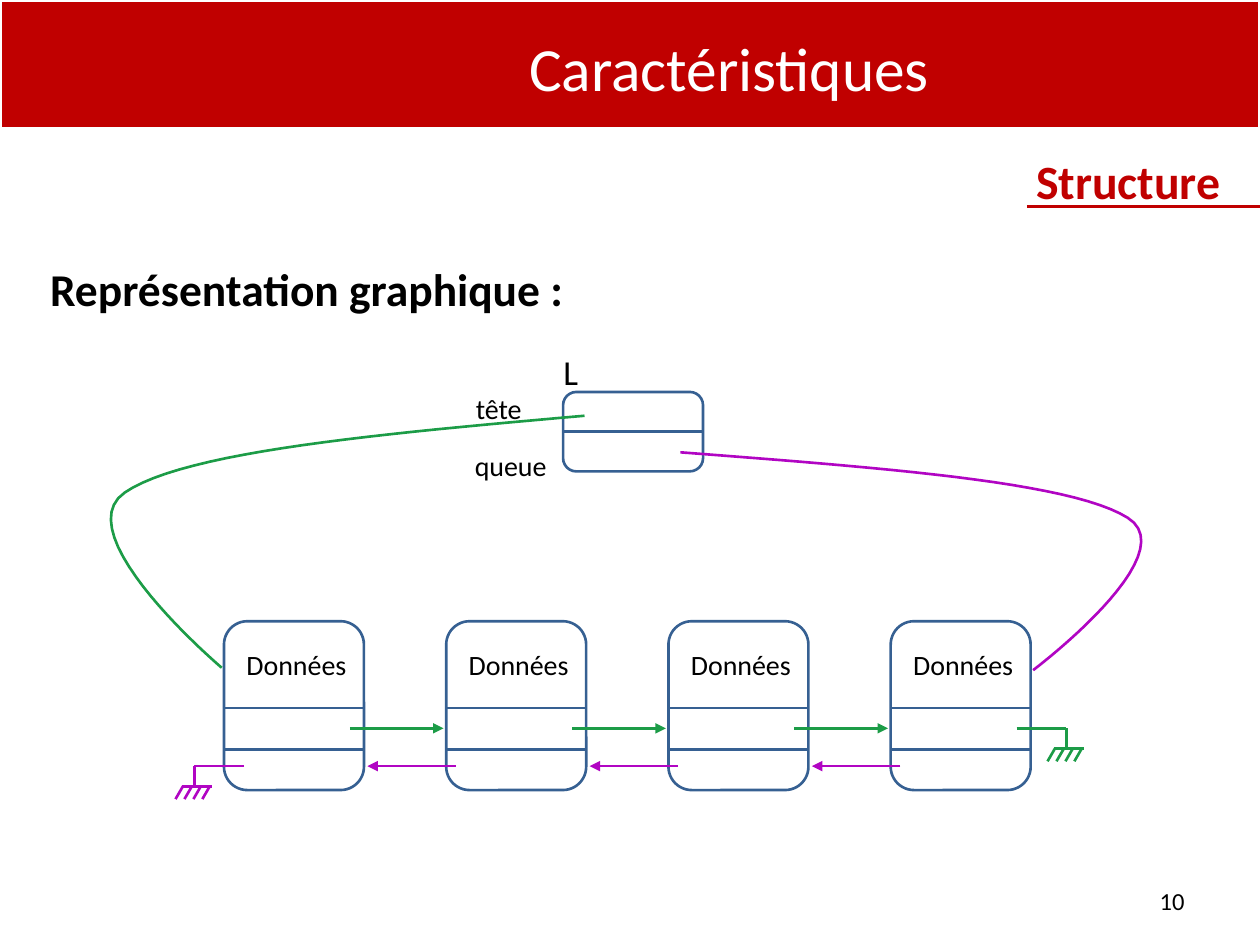
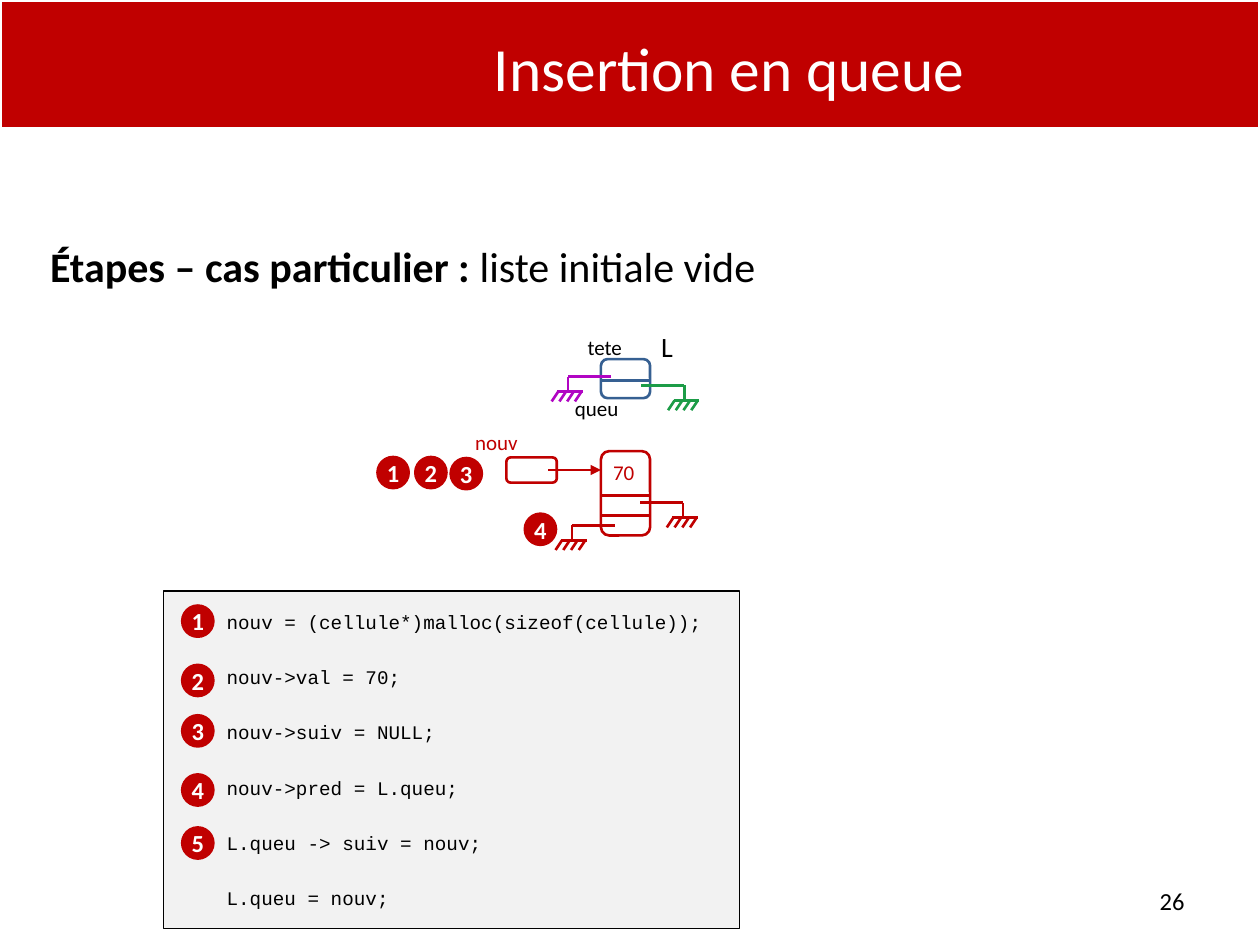
from dataclasses import dataclass
from lxml import etree
from pptx import Presentation
from pptx.dml.color import RGBColor
from pptx.enum.shapes import MSO_CONNECTOR, MSO_SHAPE
from pptx.enum.text import MSO_ANCHOR, MSO_AUTO_SIZE, PP_ALIGN
from pptx.oxml.ns import qn
from pptx.util import Pt

RECT, ROUND, OVAL = MSO_SHAPE.RECTANGLE, MSO_SHAPE.ROUNDED_RECTANGLE, MSO_SHAPE.OVAL
STRAIGHT = MSO_CONNECTOR.STRAIGHT
FIXED = MSO_AUTO_SIZE.NONE
LEFT, MID, RIGHT, JUST = PP_ALIGN.LEFT, PP_ALIGN.CENTER, PP_ALIGN.RIGHT, PP_ALIGN.JUSTIFY
TOP, CENTER = MSO_ANCHOR.TOP, MSO_ANCHOR.MIDDLE


@dataclass(frozen=True)
class Theme:
    sans: str = "Calibri"
    mono: str = "Courier New"
    red: str = "C00000"
    blue: str = "366092"
    green: str = "1C9C47"
    mauve: str = "B105C3"
    white: str = "FFFFFF"
    black: str = "000000"
    grey: str = "F2F2F2"
    title: float = 35.1
    topic: float = 27.3
    lead: float = 26
    step: float = 24
    mark: float = 20
    label: float = 16
    page: float = 14
    small: float = 12
    code: float = 11
    stroke: float = 1.5


T = Theme()


def tint(code):
    return RGBColor.from_string(code)


def fonts(size, color=T.black, bold=False, name=T.sans):
    return {"name": name, "size": Pt(size), "bold": bold, "color": color}


def apply(item, values):
    for key, value in values.items():
        if key == "color":
            item.color.rgb = tint(value)
        else:
            setattr(item, key, value)


def frame(shape, anchor=TOP, side=7.2, edge=3.6):
    text = shape.text_frame
    apply(text, {"word_wrap": True, "auto_size": FIXED,
                 "vertical_anchor": anchor, "margin_left": Pt(side),
                 "margin_right": Pt(side), "margin_top": Pt(edge),
                 "margin_bottom": Pt(edge)})
    return text


def write(para, runs, align):
    apply(para, {"alignment": align, "space_before": Pt(0)})
    for words, style in runs:
        run = para.add_run()
        run.text = words
        apply(run.font, style)


def move(shape, box):
    for key, value in zip(("left", "top", "width", "height"), box):
        setattr(shape, key, Pt(value))


def label(slide, box, words, style, align=MID, anchor=TOP, side=0):
    shape = slide.shapes.add_textbox(*map(Pt, box))
    write(frame(shape, anchor, side).paragraphs[0], [(words, style)], align)


def solid(slide, kind, box, fill, edge, width):
    shape = slide.shapes.add_shape(kind, *map(Pt, box))
    shape.shadow.inherit = False
    if fill:
        shape.fill.solid()
        shape.fill.fore_color.rgb = tint(fill)
    else:
        shape.fill.background()
    apply(shape.line, {"color": edge, "width": Pt(width)})
    return shape


def stroke(slide, start, end, color, arrow=False):
    line = slide.shapes.add_connector(STRAIGHT, *map(Pt, (*start, *end)))
    apply(line.line, {"color": color, "width": Pt(T.stroke)})
    props = line.element.spPr
    if arrow:
        tail = etree.SubElement(props.find(qn("a:ln")), qn("a:tailEnd"))
        tail.set("type", "triangle")
    etree.SubElement(props, qn("a:effectLst"))


def bend(start, one, two, end, steps=24):
    for step in range(1, steps + 1):
        t = step / steps
        u = 1 - t
        yield tuple(u**3 * a + 3 * u * u * t * b + 3 * u * t * t * c + t**3 * d
                    for a, b, c, d in zip(start, one, two, end))


def curve(slide, left, top, knots, color):
    knots = [(left + x, top + y) for x, y in knots]
    dots = [*bend(*knots[:4]), *bend(knots[3], knots[4], knots[5], knots[5])]
    pen = slide.shapes.build_freeform(*map(Pt, knots[0]))
    pen.add_line_segments([(Pt(x), Pt(y)) for x, y in dots], close=False)
    shape = pen.convert_to_shape()
    shape.shadow.inherit = False
    shape.fill.background()
    apply(shape.line, {"color": color, "width": Pt(T.stroke)})


def cell(slide, box, cuts, color):
    x, y, wide, _ = box
    solid(slide, ROUND, box, None, color, T.stroke)
    for cut in cuts:
        stroke(slide, (x, y + cut), (x + wide, y + cut), color)


def ground(slide, x, y, run, drop, color):
    post, base, wide = x + run, y + drop, abs(run)
    stroke(slide, (x, y), (post, y), color)
    stroke(slide, (post, y), (post, base), color)
    stroke(slide, (post - 0.25 * wide, base), (post + 0.35 * wide, base), color)
    for step in range(4):
        tick = post + (0.18 * step - 0.23) * wide
        stroke(slide, (tick, base), (tick - 0.15 * wide, base + 0.64 * drop), color)


def badge(slide, x, y, digit):
    dot = solid(slide, OVAL, (x, y, 17.3, 17.3), T.red, T.red, 2)
    text = frame(dot, CENTER, 0, 0)
    text.word_wrap = False
    write(text.paragraphs[0], [(str(digit), fonts(T.page, T.white, True))], MID)


def base(deck, title, page, top, lead):
    slide = deck.slides.add_slide(deck.slide_layouts[1])
    head, body = slide.shapes.title, slide.placeholders[1]
    band = solid(slide, RECT, (0, 0, 720, 73.5), T.red, T.white, 2)
    head.element.addprevious(band.element)
    move(head, (156, 13.7, 521.3, 49.7))
    write(frame(head, CENTER).paragraphs[0], [(title, fonts(T.title, T.white))], MID)
    move(body, (20, top, 674.6, 514 - top))
    para = frame(body).paragraphs[0]
    props = para._p.get_or_add_pPr()
    props.set("marL", str(Pt(28.8)))
    props.set("indent", str(Pt(-27.4)))
    etree.SubElement(props, qn("a:buNone"))
    write(para, lead, JUST)
    label(slide, (516.2, 500.4, 167.8, 28.8), page, fonts(T.page), RIGHT, CENTER, 7.2)
    return slide


def topic(slide, box, words):
    x, y, wide, high = box
    label(slide, box, words, fonts(T.topic, T.red, True), RIGHT, CENTER, 7.2)
    stroke(slide, (x + 396.8, y + 39.5), (720, y + 39.5), T.red)


def chain(slide, left, top, count=4, pitch=127):
    for step in range(count):
        x = left + step * pitch
        cell(slide, (x, top, 80, 96.5), (49.7, 73.4), T.blue)
        label(slide, (x + 2.9, top + 11.5, 77, 26.6), "Données", fonts(T.label))
    for step in range(count - 1):
        x = left + step * pitch
        stroke(slide, (x + 72, top + 61.2), (x + 125.5, top + 61.2), T.green, True)
        stroke(slide, (x + 132.5, top + 82.8), (x + 82, top + 82.8), T.mauve, True)
    last = left + (count - 1) * pitch
    ground(slide, last + 72, top + 61.2, 28.4, 11.5, T.green)
    ground(slide, left + 11.5, top + 82.8, -28.4, 11.5, T.mauve)


def graph(slide, left, top):
    cell(slide, (left + 285.8, top + 28, 80, 45.4), (22.7,), T.blue)
    for x, y, wide, high, words, size in (
            (208, 24.3, 82, 26.6, "tête", T.label),
            (221, 56.7, 69.8, 26.6, "queue", T.label),
            (275, 0.6, 30.2, 31.7, "L", T.mark)):
        label(slide, (left + x, top + y, wide, high), words, fonts(size))
    chain(slide, left + 92, top + 159)
    curve(slide, left, top, [(298, 41.6), (183.6, 51.7), (69.8, 61.8),
                             (35.3, 85.5), (0.7, 109.3), (90.7, 185.6)], T.green)
    curve(slide, left, top, [(352.8, 62.5), (463.7, 71.1), (575.3, 79),
                             (608.4, 99.9), (642.2, 120.8), (554.4, 187)], T.mauve)


def insert(slide, left, top):
    for x, y, wide, high, cuts, color in (
            (127.4, 20.2, 28.1, 22.3, (12.2,), T.blue),
            (127.4, 72.8, 28.1, 48.2, (25.2, 36.7), T.red),
            (73.4, 76.4, 28.8, 14.4, (), T.red)):
        cell(slide, (left + x, top + y, wide, high), cuts, color)
    for x, y, wide, high, words, size, color in (
            (93.6, 2.9, 72, 17.3, "tete", T.small, T.black),
            (94.3, 37.5, 61.2, 21.6, "queu", T.small, T.black),
            (151.9, 0, 26.6, 20.9, "L", T.label, T.black),
            (126.7, 74.2, 27.4, 21.6, "70", T.small, T.red),
            (47.5, 56.9, 40.3, 21.6, "nouv", T.small, T.red)):
        label(slide, (left + x, top + y, wide, high), words, fonts(size, color))
    for x, y, run, color in ((133.2, 30.3, -24.6, T.mauve), (150.5, 35.3, 24.6, T.green),
                             (149.8, 102.3, 24.6, T.red), (135.4, 115.2, -24.6, T.red)):
        ground(slide, left + x, top + y, run, 8.6, color)
    stroke(slide, (left + 97.2, top + 83.6), (left + 127.4, top + 83.6), T.red, True)
    spots = ((0, 76.4), (21.6, 76.4), (41.8, 77), (84.2, 108.8))
    for digit, (x, y) in enumerate(spots, 1):
        badge(slide, left + x, top + y, digit)


def code(slide, box, lines):
    panel = solid(slide, RECT, box, T.grey, T.black, 0.75)
    text = frame(panel, CENTER)
    for step, words in enumerate(lines):
        para = text.add_paragraph() if step else text.paragraphs[0]
        para._p.get_or_add_pPr().set("marL", str(Pt(28.8)))
        write(para, [(words, fonts(T.code, name=T.mono))], LEFT)
        if step:
            para.space_before = Pt(18.3)
    for digit, y in enumerate((8.6, 42.5, 71.3, 105.1, 135.4), 1):
        badge(slide, box[0] + 10.8, box[1] + y, digit)


def main():
    deck = Presentation()
    deck.slide_width, deck.slide_height = Pt(720), Pt(540)

    slide = base(deck, "Caractéristiques", "10", 145.4,
                 [("Représentation graphique :", fonts(T.lead, bold=True))])
    topic(slide, (190, 78.5, 514.5, 49.7), "Structure")
    graph(slide, 36, 196)

    slide = base(deck, "Insertion en queue", "26", 134,
                 [("Étapes – cas particulier : ", fonts(T.step, bold=True)),
                  ("liste initiale vide", fonts(T.step))])
    insert(slide, 216, 185)
    code(slide, (93.6, 337.7, 329, 193), (
        "nouv = (cellule*)malloc(sizeof(cellule));",
        "nouv->val = 70;",
        "nouv->suiv = NULL;",
        "nouv->pred = L.queu;",
        "L.queu -> suiv = nouv;",
        "L.queu = nouv;"))
    deck.save("out.pptx")


if __name__ == "__main__":
    main()
